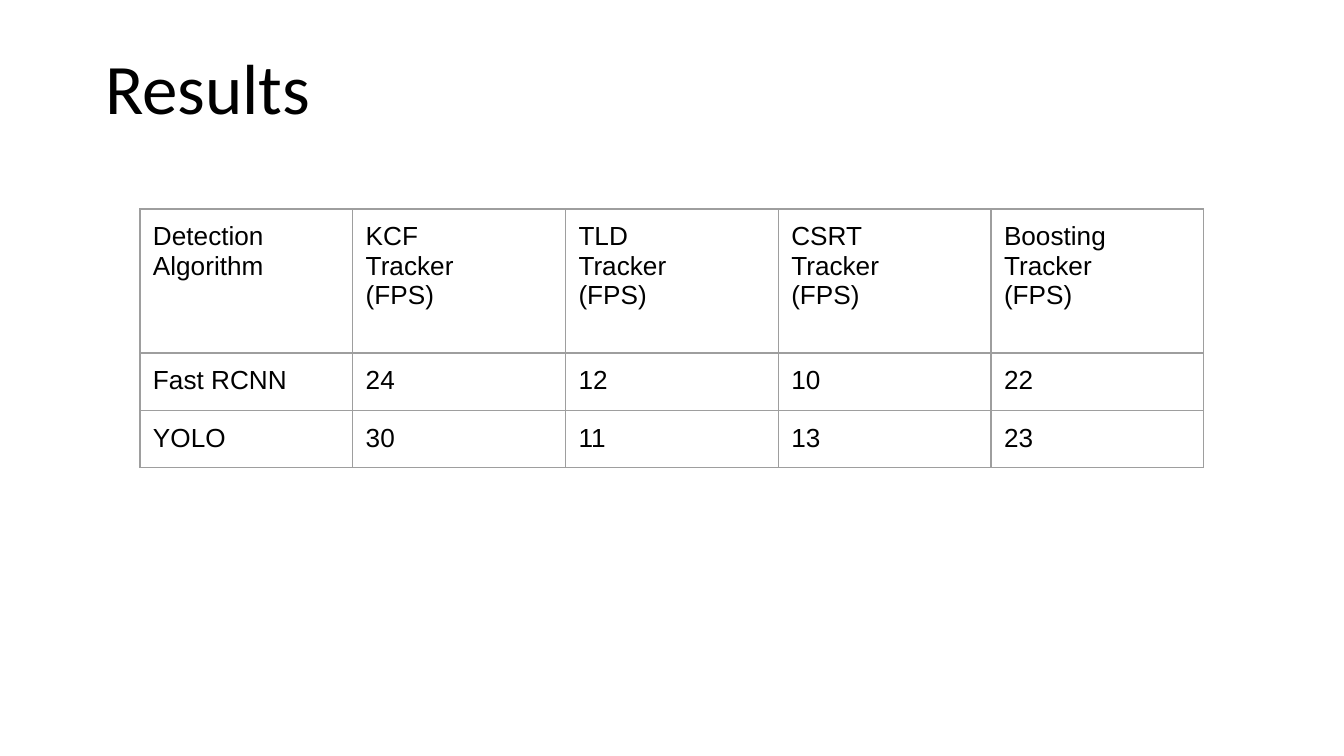
from lxml import etree
from pptx import Presentation
from pptx.dml.color import RGBColor
from pptx.enum.text import MSO_ANCHOR
from pptx.oxml.ns import qn
from pptx.util import Pt

TITLE = "Results"
ROWS = [
    ["Detection\nAlgorithm", "KCF\nTracker\n(FPS)", "TLD\nTracker\n(FPS)",
     "CSRT\nTracker\n(FPS)", "Boosting\nTracker\n(FPS)"],
    ["Fast RCNN", "24", "12", "10", "22"],
    ["YOLO", "30", "11", "13", "23"],
]

BLACK = RGBColor(0x00, 0x00, 0x00)
GREY = RGBColor(0x9E, 0x9E, 0x9E)
TITLE_FONT = {"name": "Calibri", "size": Pt(38)}
CELL_FONT = {"name": "Arial", "size": Pt(14)}

SLIDE_SIZE = (1344, 756)
TITLE_BOX = (93, 40, 1158, 104)
TABLE_LEFT, TABLE_TOP, TABLE_WIDTH = 140, 209, 1064
ROW_HEIGHTS = [144, 56, 56]
TITLE_INSET, CELL_INSET = 12, 13
SIDES = ("left", "right", "top", "bottom")


def px(length):
    """Turn slide pixels, 134.4 to the inch, into EMU."""
    return round(length * 914400 / 134.4)


def set_values(target, values):
    for name, value in values.items():
        setattr(target, name, value)


def style_text(frame, font):
    for paragraph in frame.paragraphs:
        for run in paragraph.runs:
            set_values(run.font, font)
            run.font.color.rgb = BLACK


def add_borders(cell, color, width):
    properties = cell._tc.get_or_add_tcPr()
    for position, tag in enumerate(("a:lnL", "a:lnR", "a:lnT", "a:lnB")):
        line = etree.Element(qn(tag), w=str(width))
        fill = etree.SubElement(line, qn("a:solidFill"))
        etree.SubElement(fill, qn("a:srgbClr"), val=str(color))
        properties.insert(position, line)


def add_title(page):
    box = page.shapes.add_textbox(*map(px, TITLE_BOX))
    frame = box.text_frame
    set_values(frame, {f"margin_{side}": px(TITLE_INSET) for side in SIDES})
    set_values(frame, {"word_wrap": True, "vertical_anchor": MSO_ANCHOR.MIDDLE})
    frame.text = TITLE
    frame.paragraphs[0].line_spacing = 0.9
    style_text(frame, TITLE_FONT)


def add_results(page):
    table = page.shapes.add_table(
        len(ROWS), len(ROWS[0]), px(TABLE_LEFT), px(TABLE_TOP),
        px(TABLE_WIDTH), px(sum(ROW_HEIGHTS))).table
    set_values(table, {"first_row": False, "horz_banding": False})
    for row, height, texts in zip(table.rows, ROW_HEIGHTS, ROWS):
        row.height = px(height)
        for cell, text in zip(row.cells, texts):
            cell.text = text
            set_values(cell, {f"margin_{side}": px(CELL_INSET) for side in SIDES})
            cell.fill.background()
            style_text(cell.text_frame, CELL_FONT)
            add_borders(cell, GREY, Pt(0.75))


def main():
    deck = Presentation()
    deck.slide_width, deck.slide_height = map(px, SLIDE_SIZE)
    page = deck.slides.add_slide(deck.slide_layouts[6])
    add_title(page)
    add_results(page)
    deck.save("out.pptx")


if __name__ == "__main__":
    main()
